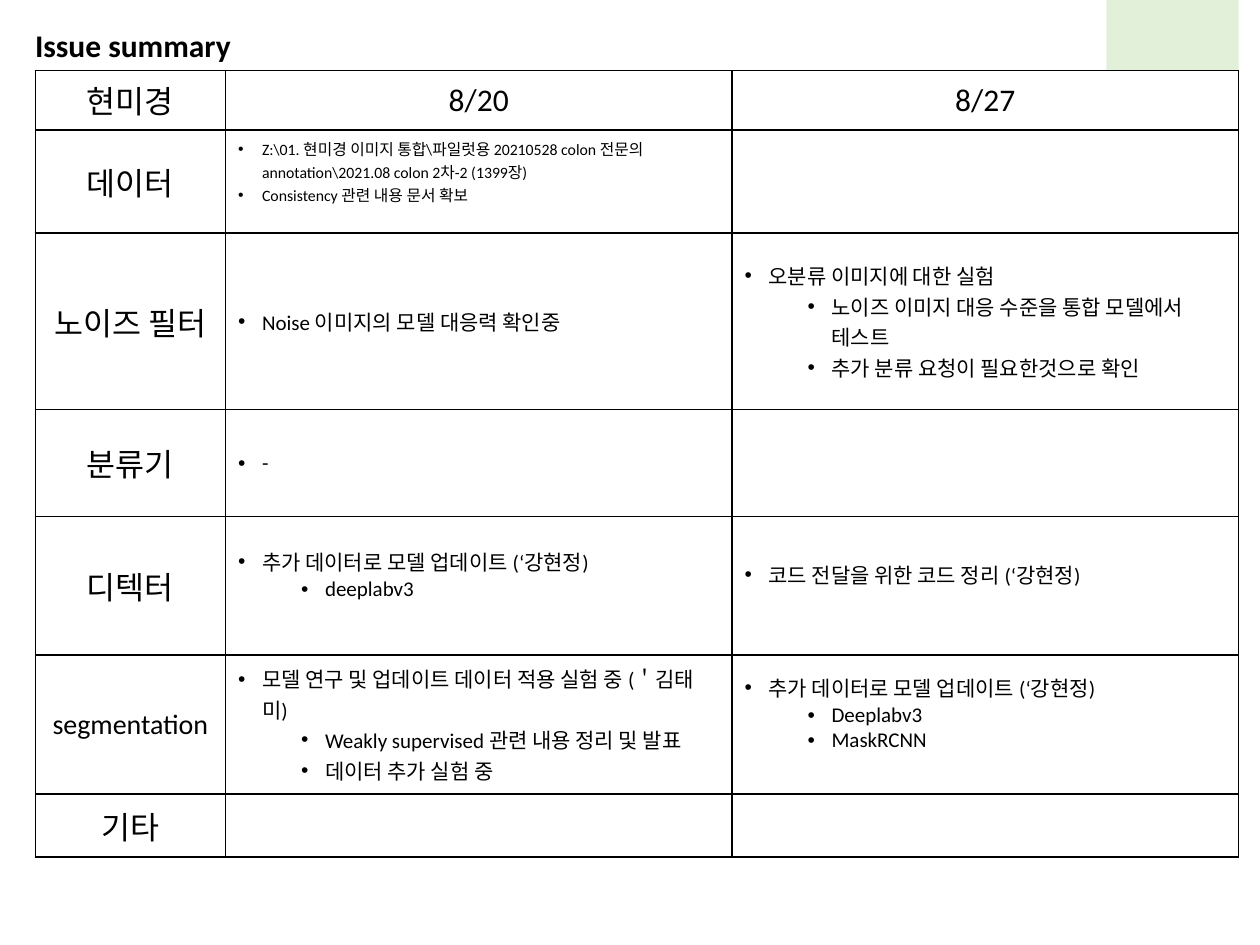
from dataclasses import dataclass

from lxml.etree import SubElement
from pptx import Presentation
from pptx.dml.color import RGBColor
from pptx.enum.shapes import MSO_SHAPE
from pptx.enum.text import MSO_ANCHOR, MSO_AUTO_SIZE, PP_ALIGN
from pptx.oxml import parse_xml
from pptx.oxml.ns import nsdecls, qn
from pptx.util import Inches, Length, Pt

BLACK = RGBColor(0x00, 0x00, 0x00)
WHITE = RGBColor(0xFF, 0xFF, 0xFF)
PALE_GREEN = RGBColor(0xE2, 0xF0, 0xD9)

SLIDE_WIDTH, SLIDE_HEIGHT = Inches(10), Inches(7.5)
TABLE_LEFT = 2.8
COLUMN_SHARES = (15.1, 40.2, 40.2)
BULLET_HANG = Inches(0.19)
LEVEL_STEP = Inches(0.5)
BORDER_SIDES = ("lnL", "lnR", "lnT", "lnB")


@dataclass(frozen=True)
class Line:
    text: str
    level: int = 0


@dataclass(frozen=True)
class Notes:
    lines: tuple[Line, ...] = ()
    size: float = 12
    bottom: float = 0.05


@dataclass(frozen=True)
class Topic:
    share: float
    label: str
    earlier: Notes = Notes()
    later: Notes = Notes()
    label_size: float = 18


@dataclass(frozen=True)
class Section:
    top: float
    topics: tuple[Topic, ...]
    heads: tuple[str, ...] = ()
    head_share: float = 0


UPDATE = Line("추가 데이터로 모델 업데이트 (‘강현정)")

SECTIONS = (
    Section(7.47, (
        Topic(10.93, "데이터", Notes((
            Line("Z:\\01. 현미경 이미지 통합\\파일럿용 20210528 colon 전문의 "
                 "annotation\\2021.08 colon 2차-2 (1399장)"),
            Line("Consistency 관련 내용 문서 확보"),
        ), 9, 0.2)),
    ), ("현미경", "8/20", "8/27"), 6.27),
    Section(24.67, (
        Topic(18.67, "노이즈 필터",
              Notes((Line("Noise 이미지의 모델 대응력 확인중"),)),
              Notes((Line("오분류 이미지에 대한 실험"),
                     Line("노이즈 이미지 대응 수준을 통합 모델에서 테스트", 1),
                     Line("추가 분류 요청이 필요한것으로 확인", 1)))),
        Topic(11.33, "분류기", Notes((Line("-"),))),
        Topic(14.67, "디텍터",
              Notes((UPDATE, Line("deeplabv3", 1)), bottom=0.24),
              Notes((Line("코드 전달을 위한 코드 정리 (‘강현정)"),), bottom=0.24)),
        Topic(14.67, "segmentation",
              Notes((Line("모델 연구 및 업데이트 데이터 적용 실험 중 (＇김태미)"),
                     Line("Weakly supervised 관련 내용 정리 및 발표", 1),
                     Line("데이터 추가 실험 중", 1))),
              Notes((UPDATE, Line("Deeplabv3", 1), Line("MaskRCNN", 1)), bottom=0.24),
              16),
        Topic(6.67, "기타"),
    )),
)


def across(share: float) -> Length:
    """Turn a percentage of the slide's width into a length."""
    return Length(round(SLIDE_WIDTH * share / 100))


def down(share: float) -> Length:
    """Turn a percentage of the slide's height into a length."""
    return Length(round(SLIDE_HEIGHT * share / 100))


def write(paragraph, text: str, size: float, bold: bool = False) -> None:
    """Add a run of black text to a paragraph."""
    run = paragraph.add_run()
    run.text = text
    for attribute, value in {"name": "Calibri", "size": Pt(size), "bold": bold}.items():
        setattr(run.font, attribute, value)
    run.font.color.rgb = BLACK


def add_bullet(paragraph, level: int) -> None:
    """Give a paragraph a hanging bullet at its level."""
    paragraph.level = level
    properties = paragraph._p.get_or_add_pPr()
    properties.set("marL", str(BULLET_HANG + level * LEVEL_STEP))
    properties.set("indent", str(-BULLET_HANG))
    SubElement(properties, qn("a:buFont"), typeface="Arial")
    SubElement(properties, qn("a:buChar"), char="•")


def style_cell(cell) -> None:
    """Give a cell a white fill and thin black borders."""
    cell.vertical_anchor = MSO_ANCHOR.MIDDLE
    cell.fill.solid()
    cell.fill.fore_color.rgb = WHITE
    properties = cell._tc.get_or_add_tcPr()
    for position, side in enumerate(BORDER_SIDES):
        properties.insert(position, parse_xml(
            f'<a:{side} {nsdecls("a")} w="{Pt(1)}"><a:solidFill>'
            f'<a:srgbClr val="{BLACK}"/></a:solidFill></a:{side}>'))


def write_heading(cell, text: str, size: float = 18) -> None:
    """Write centred text in a cell."""
    paragraph = cell.text_frame.paragraphs[0]
    paragraph.alignment = PP_ALIGN.CENTER
    write(paragraph, text, size)


def write_notes(cell, notes: Notes) -> None:
    """Write bulleted notes in a cell."""
    cell.margin_bottom = Inches(notes.bottom)
    frame = cell.text_frame
    for index, line in enumerate(notes.lines):
        paragraph = frame.add_paragraph() if index else frame.paragraphs[0]
        add_bullet(paragraph, line.level)
        write(paragraph, line.text, notes.size)


def draw_section(slide, section: Section) -> None:
    """Draw one table of topics with its optional heading row."""
    head_rows = (section.head_share,) if section.heads else ()
    row_shares = head_rows + tuple(topic.share for topic in section.topics)
    table = slide.shapes.add_table(
        len(row_shares), len(COLUMN_SHARES), across(TABLE_LEFT), down(section.top),
        across(sum(COLUMN_SHARES)), down(sum(row_shares))).table
    for flag, value in {"first_row": False, "horz_banding": False}.items():
        setattr(table, flag, value)
    for column, share in zip(table.columns, COLUMN_SHARES):
        column.width = across(share)
    for row, share in zip(table.rows, row_shares):
        row.height = down(share)
    for cell in table.iter_cells():
        style_cell(cell)
    for index, head in enumerate(section.heads):
        write_heading(table.cell(0, index), head)
    for row, topic in enumerate(section.topics, len(head_rows)):
        write_heading(table.cell(row, 0), topic.label, topic.label_size)
        write_notes(table.cell(row, 1), topic.earlier)
        write_notes(table.cell(row, 2), topic.later)


def draw_corner(slide) -> None:
    """Draw the pale block in the upper right corner."""
    corner = slide.shapes.add_shape(
        MSO_SHAPE.RECTANGLE, across(87.8), down(-2), across(10.5), down(19.2))
    corner.shadow.inherit = False
    corner.fill.solid()
    corner.fill.fore_color.rgb = PALE_GREEN
    corner.line.fill.background()


def draw_title(slide) -> None:
    """Draw the slide's title."""
    frame = slide.shapes.add_textbox(
        across(1.8), down(2.13), across(31.3), down(5.33)).text_frame
    for attribute, value in {"word_wrap": True,
                             "auto_size": MSO_AUTO_SIZE.SHAPE_TO_FIT_TEXT}.items():
        setattr(frame, attribute, value)
    write(frame.paragraphs[0], "Issue summary", 18, True)


def main() -> None:
    """Build and save the issue summary."""
    deck = Presentation()
    for attribute, value in {"slide_width": SLIDE_WIDTH,
                             "slide_height": SLIDE_HEIGHT}.items():
        setattr(deck, attribute, value)
    slide = deck.slides.add_slide(deck.slide_layouts[6])
    draw_corner(slide)
    draw_title(slide)
    for section in SECTIONS:
        draw_section(slide, section)
    deck.save("out.pptx")


if __name__ == "__main__":
    main()
